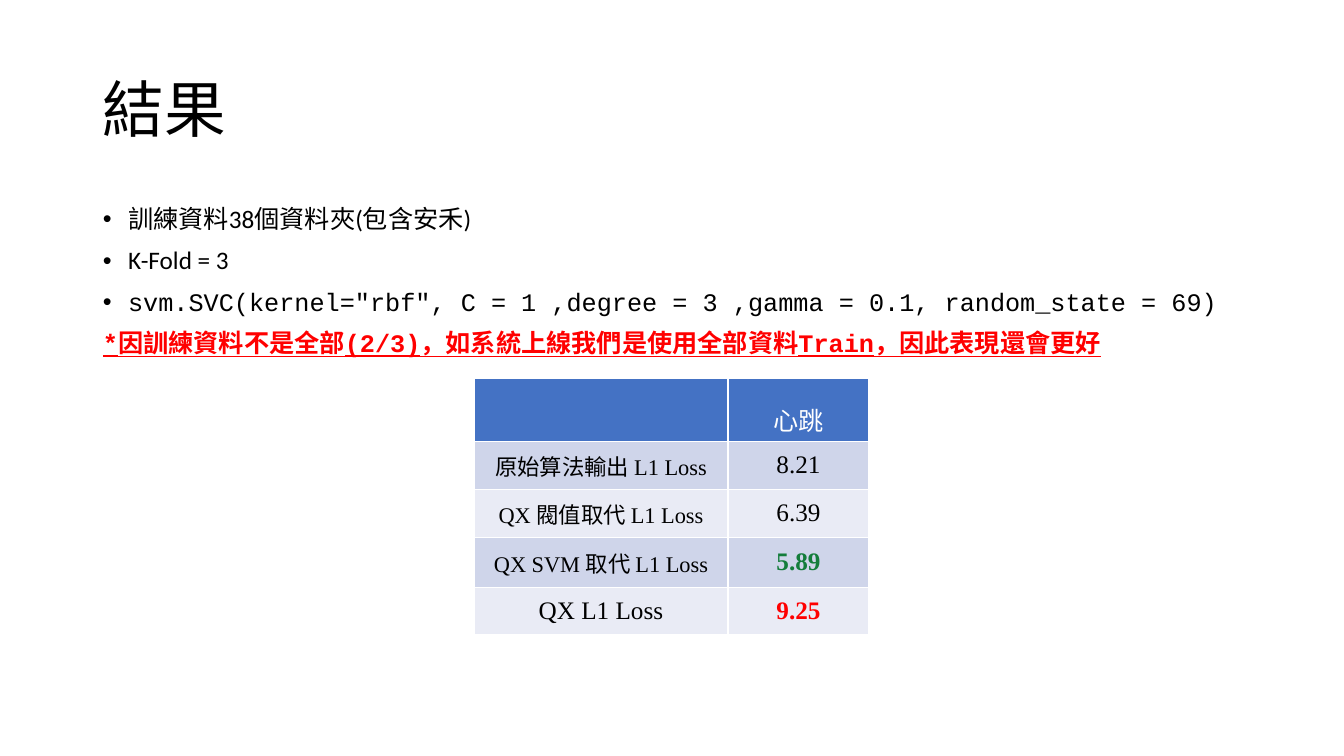
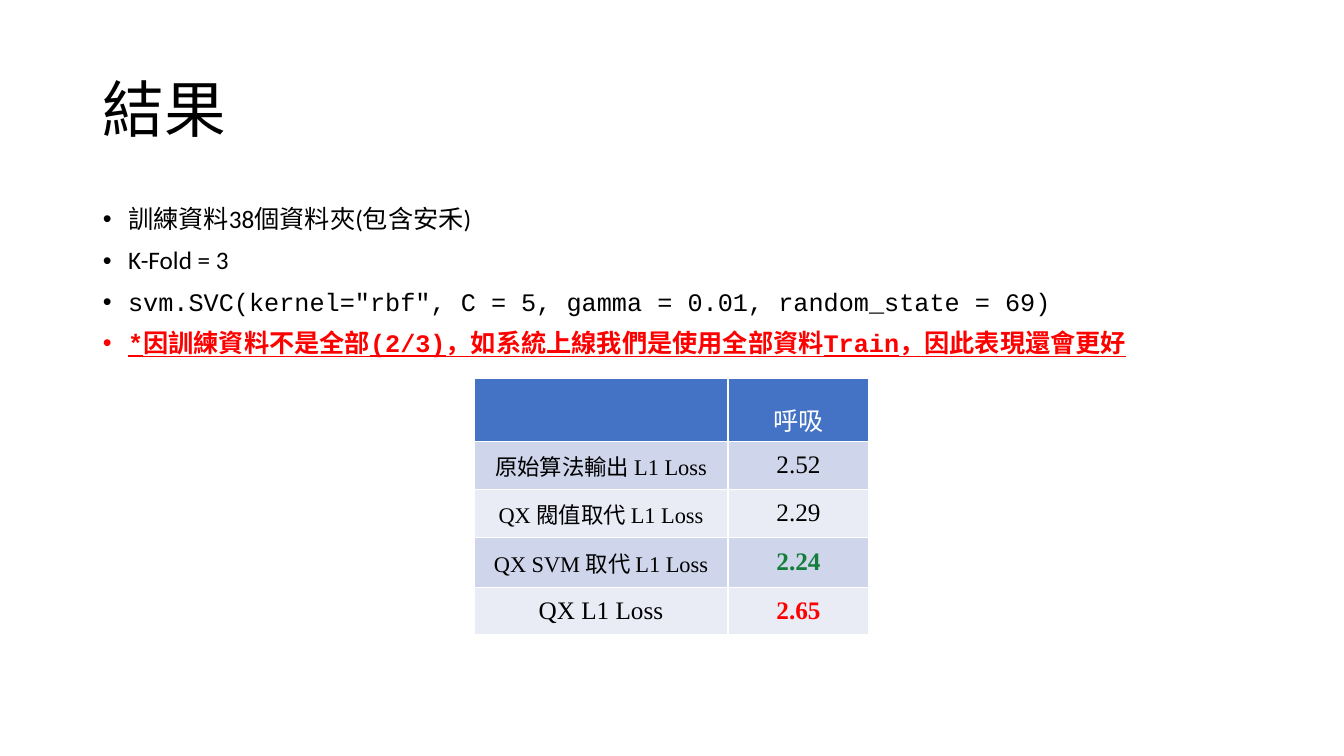
"""Build two result slides, each with settings and an L1 loss table."""
import lxml.etree
import pptx
import pptx.dml.color
import pptx.enum.text
import pptx.oxml.ns
import pptx.util

PIXEL = 914400 / 100.8
COLORS = {"text": "000000", "white": "FFFFFF", "header": "4472C4", "odd": "CFD5EA",
          "even": "E9EBF5", "best": "147D3B", "alert": "FF0000"}
BODY_FONT, CODE_FONT, TABLE_FONT = "Calibri", "Courier New", "Times New Roman"
MIDDLE = pptx.enum.text.MSO_ANCHOR.MIDDLE
CENTER = pptx.enum.text.PP_ALIGN.CENTER
TITLE = "結果"
NOTE = "*因訓練資料不是全部(2/3)\uff0c如系統上線我們是使用全部資料Train\uff0c因此表現還會更好"
COLUMN_WIDTHS = [254, 141]
ROW_HEIGHTS = [63, 48, 48, 50, 47]
HEADER_BOTTOM_MARGIN = 13
ROW_LABELS = ["", "原始算法輸出 L1 Loss", "QX 閥值取代 L1 Loss", "QX SVM 取代 L1 Loss", "QX L1 Loss"]
LABEL_SIZES = [18, 16, 16, 16, 18]
VALUE_COLORS = ["white", "text", "text", "best", "alert"]
RESULTS = [
    {"code": 'svm.SVC(kernel="rbf", C = 1 ,degree = 3 ,gamma = 0.1, random_state = 69)',
     "note_bullet": False, "values": ["心跳", "8.21", "6.39", "5.89", "9.25"]},
    {"code": 'svm.SVC(kernel="rbf", C = 5, gamma = 0.01, random_state = 69)',
     "note_bullet": True, "values": ["呼吸", "2.52", "2.29", "2.24", "2.65"]},
]


def lengths(*pixels):
    return [pptx.util.Emu(round(pixel * PIXEL)) for pixel in pixels]


def write(para, text, size, font, color, bold=False):
    para.text = text
    for span in para.runs:
        span.font.size = pptx.util.Pt(size)
        span.font.name = font
        span.font.bold = bold
        span.font.color.rgb = pptx.dml.color.RGBColor.from_string(COLORS[color])


deck = pptx.Presentation()
deck.slide_width, deck.slide_height = lengths(1344, 756)

for result in RESULTS:
    page = deck.slides.add_slide(deck.slide_layouts[6])

    title = page.shapes.add_textbox(*lengths(93, 40, 1159, 146)).text_frame
    title.word_wrap = True
    title.vertical_anchor = MIDDLE
    write(title.paragraphs[0], TITLE, 44, BODY_FONT, "text")
    title.paragraphs[0].line_spacing = 0.9

    body = page.shapes.add_textbox(*lengths(93, 202, 1159, 480)).text_frame
    body.word_wrap = True
    lines = [
        ("訓練資料38個資料夾(包含安禾)", BODY_FONT, "text", True),
        ("K-Fold = 3", BODY_FONT, "text", True),
        (result["code"], CODE_FONT, "text", True),
        (NOTE, CODE_FONT, "alert", result["note_bullet"]),
    ]
    for index, (text, font, color, bullet) in enumerate(lines):
        para = body.add_paragraph() if index else body.paragraphs[0]
        is_note = text == NOTE
        write(para, text, 18, font, color, is_note)
        para.runs[0].font.underline = is_note
        para.line_spacing = 0.9
        para.space_before = pptx.util.Pt(10)
        if bullet:
            properties = para._p.get_or_add_pPr()
            properties.set("marL", "228600")
            properties.set("indent", "-228600")
            mark_font = lxml.etree.SubElement(properties, pptx.oxml.ns.qn("a:buFont"))
            mark_font.set("typeface", "Arial")
            lxml.etree.SubElement(properties, pptx.oxml.ns.qn("a:buChar")).set("char", "•")

    frame = page.shapes.add_table(len(ROW_HEIGHTS), len(COLUMN_WIDTHS),
                                  *lengths(474, 378, sum(COLUMN_WIDTHS), sum(ROW_HEIGHTS)))
    table = frame.table
    for column, width in zip(table.columns, lengths(*COLUMN_WIDTHS)):
        column.width = width
    for row, height in zip(table.rows, lengths(*ROW_HEIGHTS)):
        row.height = height

    for row, value in enumerate(result["values"]):
        band = "header" if row == 0 else "odd" if row % 2 else "even"
        entries = [(ROW_LABELS[row], LABEL_SIZES[row], "text"), (value, 18, VALUE_COLORS[row])]
        for column, (text, size, color) in enumerate(entries):
            cell = table.cell(row, column)
            cell.vertical_anchor = MIDDLE
            para = cell.text_frame.paragraphs[0]
            write(para, text, size, TABLE_FONT, color, color in ("best", "alert"))
            para.alignment = CENTER
            if row == 0:
                para.line_spacing = 1.5
                cell.margin_bottom = lengths(HEADER_BOTTOM_MARGIN)[0]
            for side in "LRTB":
                border = lxml.etree.SubElement(cell._tc.get_or_add_tcPr(),
                                               pptx.oxml.ns.qn("a:ln" + side))
                border.set("w", str(pptx.util.Pt(1)))
                paint = lxml.etree.SubElement(border, pptx.oxml.ns.qn("a:solidFill"))
                tint = lxml.etree.SubElement(paint, pptx.oxml.ns.qn("a:srgbClr"))
                tint.set("val", COLORS["white"])
            cell.fill.solid()
            cell.fill.fore_color.rgb = pptx.dml.color.RGBColor.from_string(COLORS[band])

deck.save("out.pptx")
